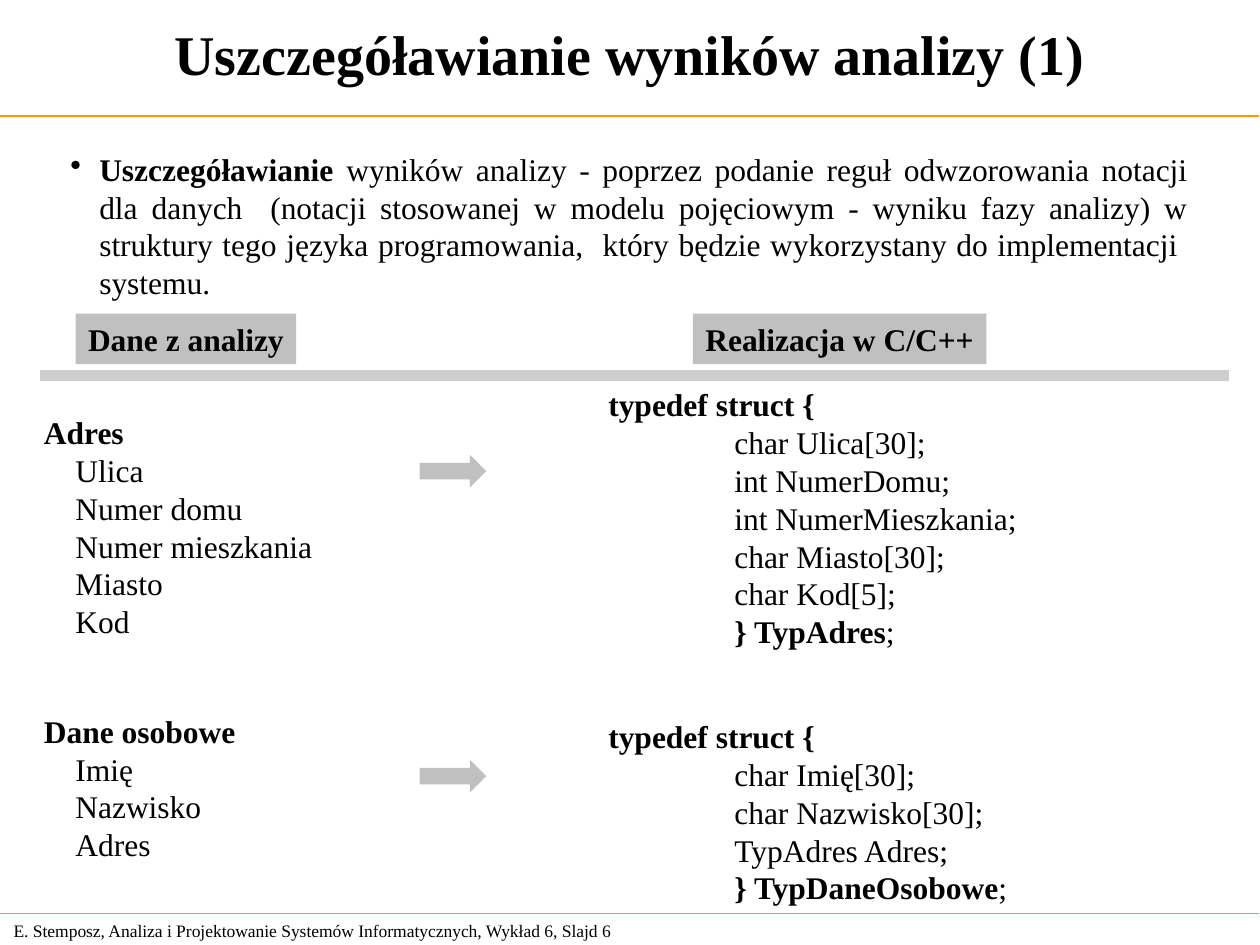
from lxml import etree
from pptx import Presentation
from pptx import util as u
from pptx.dml.color import RGBColor
from pptx.enum import shapes, text
from pptx.oxml.ns import qn

BLACK = RGBColor(0, 0, 0)
GREY = RGBColor(0xC0, 0xC0, 0xC0)
PALE = RGBColor(0xCE, 0xCE, 0xCE)
ORANGE = RGBColor(0xFF, 0x99, 0x00)

deck = Presentation()
deck.slide_width, deck.slide_height = u.Inches(10), u.Inches(7.5)
slide = deck.slides.add_slide(deck.slide_layouts[6])


def write(shape, lines, size=18, wrap=False, align=text.PP_ALIGN.LEFT):
    """Fill a shape; each line is a list of (words, bold) parts."""
    frame = shape.text_frame
    frame.word_wrap = wrap
    for i, line in enumerate(lines):
        para = frame.paragraphs[0] if i == 0 else frame.add_paragraph()
        para.alignment = align
        for words, bold in line:
            run = para.add_run()
            run.text = words
            font = run.font
            font.name, font.size, font.bold = "Times New Roman", u.Pt(size), bold
            font.color.rgb = BLACK
    return frame


def box(x, y, w, h):
    return slide.shapes.add_textbox(*map(u.Inches, (x, y, w, h)))


# Footer
foot = write(box(0.01, 7.25, 5.24, 0.27), [[(
    "E. Stemposz, Analiza i Projektowanie Systemów Informatycznych, "
    "Wykład 6, Slajd 6", False)]], size=10)
foot.vertical_anchor = text.MSO_ANCHOR.MIDDLE

# Rules: header, footer, column heads
for x, y, end, color, width in [(-0.01, 0.92, 9.99, ORANGE, 0.75),
                                (-0.01, 7.25, 9.99, ORANGE, 0.75),
                                (0.32, 2.98, 9.75, PALE, 6)]:
    rule = slide.shapes.add_connector(
        shapes.MSO_CONNECTOR.STRAIGHT, *map(u.Inches, (x, y, end, y)))
    rule.line.color.rgb, rule.line.width = color, u.Pt(width)
    etree.SubElement(rule._element.spPr, qn("a:effectLst"))

# Title
title = write(box(0.04, 0, 9.92, 0.85),
              [[("Uszczegóławianie wyników analizy (1)", True)]],
              size=32, wrap=True, align=text.PP_ALIGN.CENTER)
title.vertical_anchor = text.MSO_ANCHOR.MIDDLE

# Bulleted definition
body = write(box(0.46, 1.14, 9.07, 1.3), [[
    ("Uszczegóławianie", True),
    (" wyników analizy - poprzez podanie reguł odwzorowania notacji dla "
     "danych  (notacji stosowanej w modelu pojęciowym - wyniku fazy analizy) "
     "w struktury tego języka programowania,  który będzie wykorzystany do "
     "implementacji  systemu.", False)]],
    wrap=True, align=text.PP_ALIGN.JUSTIFY)
props = body.paragraphs[0]._p.get_or_add_pPr()
props.set("marL", str(u.Inches(0.23)))
props.set("indent", str(-u.Inches(0.23)))
etree.SubElement(props, qn("a:buChar"), char="•")

# Analysis data: bold name, indented fields
for y, w, h, name, fields in [
        (5.6, 1.72, 1.3, "Dane osobowe", ["Imię", "Nazwisko", "Adres"]),
        (3.23, 2.33, 1.9, "Adres", ["Ulica", "Numer domu", "Numer mieszkania",
                                    "Miasto", "Kod"])]:
    data = write(box(0.25, y, w, h),
                 [[(name, True)]] + [[(field, False)] for field in fields])
    for para in data.paragraphs[1:]:
        para._p.get_or_add_pPr().set("marL", str(u.Inches(0.25)))

# C code: two structs
code = []
for name, fields in [
        ("TypAdres", ["char Ulica[30];", "int NumerDomu;",
                      "int NumerMieszkania;", "char Miasto[30];",
                      "char Kod[5];"]),
        ("TypDaneOsobowe", ["char Imię[30];", "char Nazwisko[30];",
                            "TypAdres Adres;"])]:
    code.append([("typedef struct {", True)])
    code += [[("\t" + field, False)] for field in fields]
    code.append([("\t} " + name, True), (";", False)])
struct = write(box(4.73, 3.01, 3.44, 4.24), code)
for para in struct.paragraphs:
    tabs = etree.SubElement(para._p.get_or_add_pPr(), qn("a:tabLst"))
    etree.SubElement(tabs, qn("a:tab"), pos=str(u.Inches(1)), algn="l")
struct.paragraphs[7].space_before = u.Pt(38.4)

# Column heads and arrows
RECT, ARROW = shapes.MSO_SHAPE.RECTANGLE, shapes.MSO_SHAPE.RIGHT_ARROW
for kind, x, y, w, h, words in [
        (RECT, 0.6, 2.49, 1.75, 0.4, "Dane z analizy"),
        (RECT, 5.5, 2.49, 2.33, 0.4, "Realizacja w C/C++"),
        (ARROW, 3.33, 3.61, 0.53, 0.26, ""),
        (ARROW, 3.33, 6.03, 0.53, 0.26, "")]:
    item = slide.shapes.add_shape(kind, *map(u.Inches, (x, y, w, h)))
    item.shadow.inherit = False
    item.fill.solid()
    item.fill.fore_color.rgb = GREY
    item.line.fill.background()
    if words:
        write(item, [[(words, True)]])

deck.save("out.pptx")
